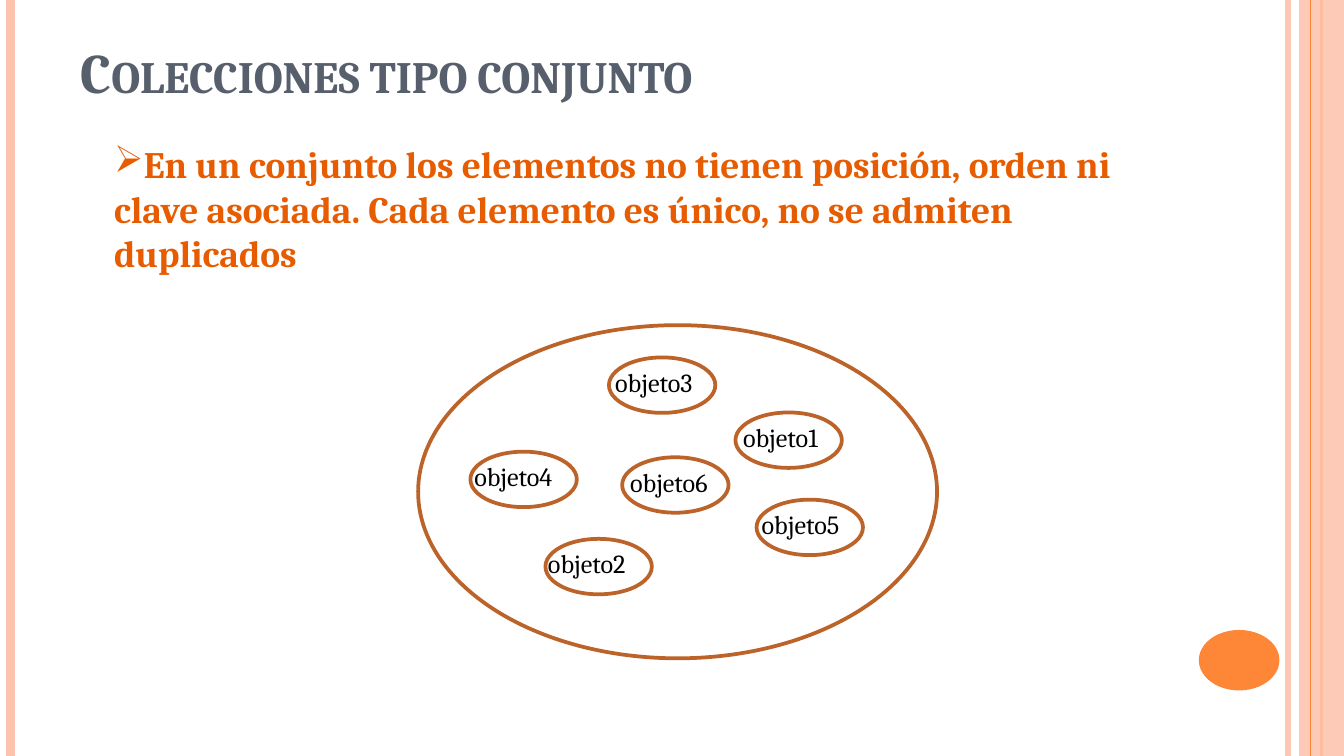
from pptx import Presentation
from pptx.dml.color import RGBColor
from pptx.enum.shapes import MSO_CONNECTOR as Conn, MSO_SHAPE as Kind
from pptx.oxml.ns import qn
from pptx.util import Pt
from lxml.etree import SubElement as Sub

WIDE, HIGH = 720, 405
PINK, ORANGE, BROWN = "FEC3AE", "FE8637", "BC6329"

deck = Presentation()
deck.slide_width, deck.slide_height = Pt(WIDE), Pt(HIGH)
slide = deck.slides.add_slide(deck.slide_layouts[6])
shapes = slide.shapes


def paint(fill, color, alpha=100):
    """Fill with a solid colour; alpha is the opacity in percent."""
    fill.solid()
    fill.fore_color.rgb = RGBColor.from_string(color)
    if alpha < 100:
        node = next(fill._xPr.iter(qn("a:srgbClr")))
        Sub(node, qn("a:alpha"), val=str(alpha * 1000))


def write(text, box, size, color, bold=False):
    """Add a text box with one run; return its paragraph and run."""
    frame = shapes.add_textbox(*map(Pt, box)).text_frame
    frame.word_wrap = True
    para = frame.paragraphs[0]
    run = para.add_run()
    run.text = text
    run.font.name, run.font.size, run.font.bold = "Cambria", Pt(size), bold
    paint(run.font.fill, color)
    return para, run


# Side stripes; the band lies over all but the last
stripes = [(690, PINK, 3, 93), (5.75, PINK, 4.5, 100),
           (708, ORANGE, 1.5, 100), (702, ORANGE, 0.75, 100)]
for x, color, width, alpha in stripes:
    if x == 702:
        band = shapes.add_shape(Kind.RECTANGLE, Pt(696), 0, Pt(24), Pt(HIGH))
        band.shadow.inherit = False
        band.line.fill.background()
        paint(band.fill, PINK, 87)
    stripe = shapes.add_connector(Conn.STRAIGHT, Pt(x), 0, Pt(x), Pt(HIGH))
    stripe.line.width = Pt(width)
    paint(stripe.line.fill, color, alpha)
    Sub(stripe._element.spPr, qn("a:effectLst"))

dot = shapes.add_shape(Kind.OVAL, *map(Pt, (642.25, 337.5, 43.2, 32.4)))
dot.shadow.inherit = False
dot.line.fill.background()
paint(dot.fill, ORANGE)

# Title and statement
para, run = write("Colecciones tipo conjunto", (36, 16.5, 588, 68),
                  30, "575F6D", True)
run.font._element.set("cap", "small")

para, run = write("En un conjunto los elementos no tienen posición, orden ni "
                  "clave asociada. Cada elemento es único, no se admiten "
                  "duplicados", (54, 72, 566.5, 106.5), 20, "E75C01", True)
para.space_before, para.space_after = Pt(6), Pt(12)
Sub(para._p.get_or_add_pPr(), qn("a:buChar"), char="➢")

# The set and its elements: name, oval left and top, label left
items = [("objeto3", 326.2, 191.5, 322.5),
         ("objeto4", 252, 242, 247),
         ("objeto1", 394, 221, 391),
         ("objeto2", 292.2, 288.7, 286.5),
         ("objeto6", 333.3, 245, 330.5),
         ("objeto5", 405.3, 267.7, 401)]
ovals = [(224, 174.2, 278, 178.5)]
ovals += [(x, y, 57, 29.7) for name, x, y, left in items]
for box in ovals:
    oval = shapes.add_shape(Kind.OVAL, *map(Pt, box))
    oval.shadow.inherit = False
    oval.fill.background()
    oval.line.width = Pt(2)
    paint(oval.line.fill, BROWN)

for name, x, y, left in items:
    write(name, (left, y + 1.2, 67.7, 24.5), 14, "000000")

deck.save("out.pptx")
